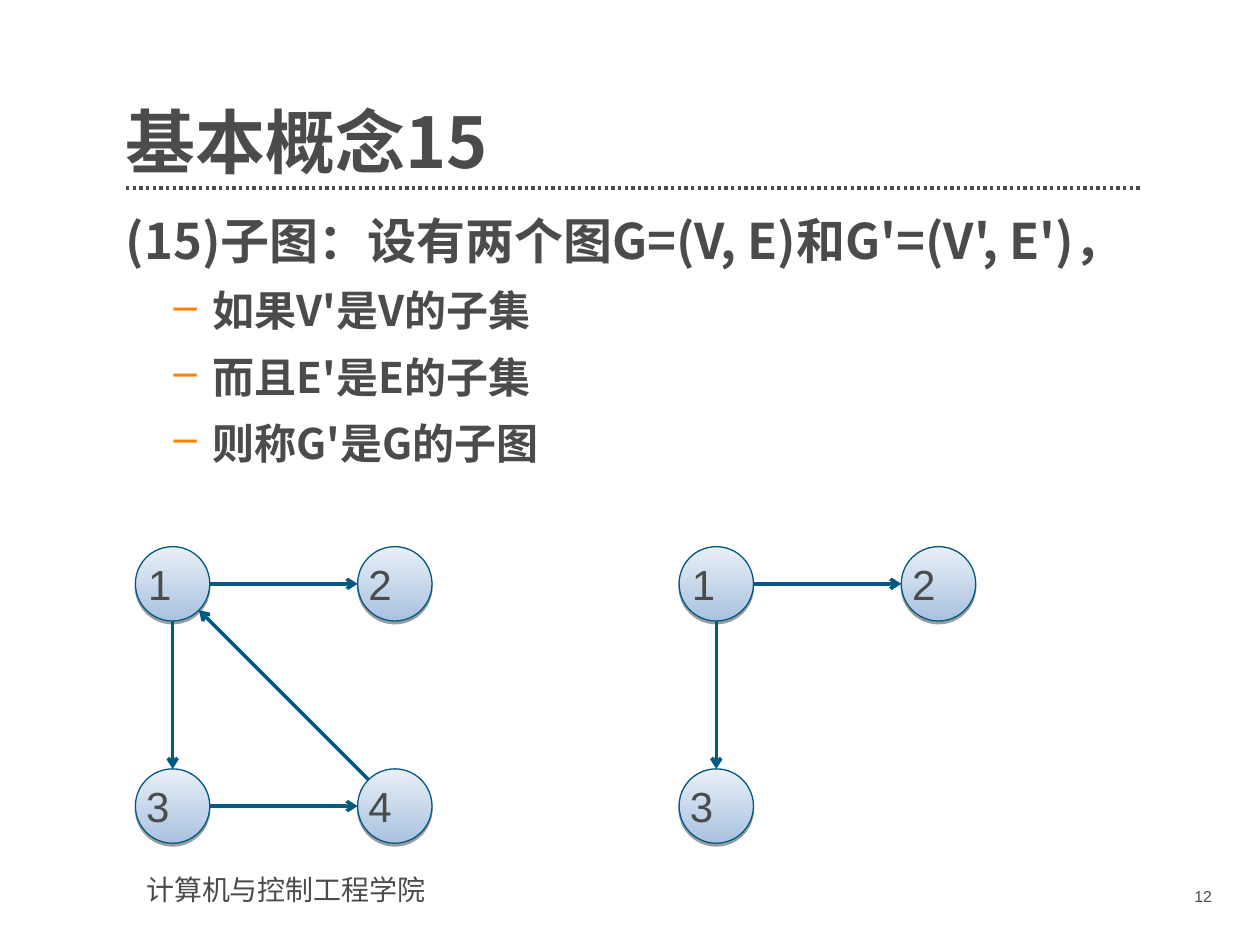
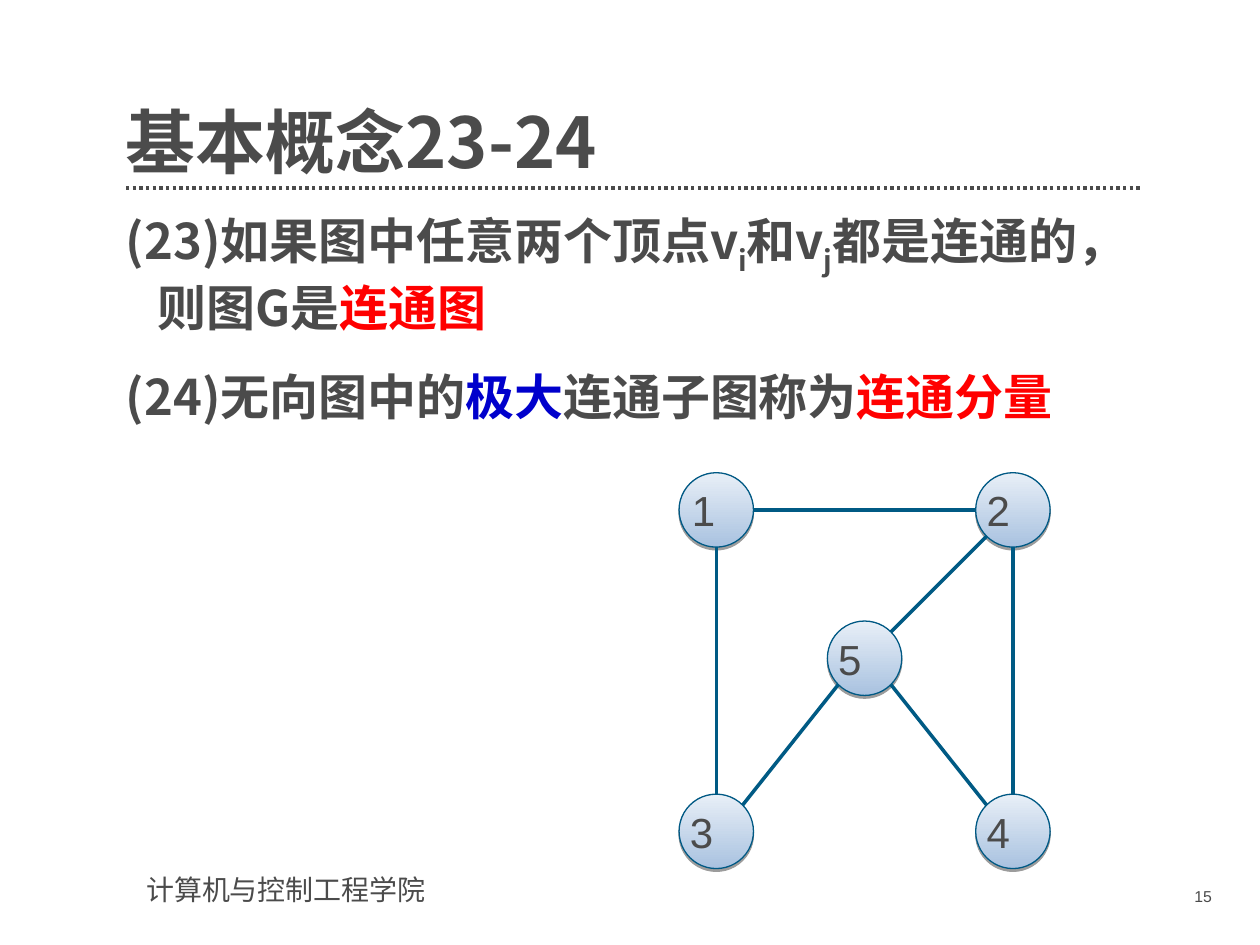
from math import atan2, cos, pi, sin

from lxml import etree
from pptx import Presentation
from pptx import util as u
from pptx.dml.color import RGBColor
from pptx.enum import dml, shapes, text
from pptx.oxml import ns

HEADING_FONT, PLAIN_FONT = "Noto Sans CJK SC", "Arial"
GREY, RED, BLUE, ORANGE = "4B4B4B", "FF0000", "0000CC", "FF8000"
EDGE, OUTLINE, NODE_DARK, NODE_LIGHT = "005A84", "005984", "A9C2E0", "E8EFF7"
FOOTER = "计算机与控制工程学院"
DIAMETER = 1.5

LEVELS = [
    {"size": 28, "before": 17.5, "margin": 0.64, "indent": -0.64, "bullet": None},
    {"size": 24, "before": 9, "margin": 1.75, "indent": -0.79, "bullet": "–"},
]

SLIDES = [
    {
        "title": "基本概念15",
        "number": "12",
        "body_width": 22.1,
        "body": [
            (0, ["(15)子图：设有两个图G=(V, E)和G'=(V', E')，"]),
            (1, ["如果V'是V的子集"]),
            (1, ["而且E'是E的子集"]),
            (1, ["则称G'是G的子图"]),
        ],
        "graphs": [
            {
                "origin": (2.73, 11.02),
                "nodes": {"1": (0, 0), "2": (4.48, 0), "3": (0, 4.48), "4": (4.48, 4.48)},
                "edges": ["12", "13", "34", "41"],
                "directed": True,
            },
            {
                "origin": (13.69, 11.02),
                "nodes": {"1": (0, 0), "2": (4.48, 0), "3": (0, 4.48)},
                "edges": ["12", "13"],
                "directed": True,
            },
        ],
    },
    {
        "title": "基本概念23-24",
        "number": "15",
        "body_width": 21.1,
        "body": [
            (0, ["(23)如果图中任意两个顶点v", ("i", "sub"), "和v", ("j", "sub"),
                 "都是连通的，则图G是", ("连通图", RED)]),
            (0, ["(24)无向图中的", ("极大", BLUE), "连通子图称为", ("连通分量", RED)]),
        ],
        "graphs": [
            {
                "origin": (13.69, 9.53),
                "nodes": {"1": (0, 0), "2": (5.98, 0), "3": (0, 6.48),
                          "4": (5.98, 6.48), "5": (2.99, 2.99)},
                "edges": ["12", "13", "42", "53", "52", "54"],
                "directed": False,
            },
        ],
    },
]


def color(value):
    return RGBColor.from_string(value)


def add_xml(parent, tag, **attributes):
    return etree.SubElement(parent, ns.qn(tag), attributes)


def set_font(font, name, size, bold=False):
    font.name, font.size, font.bold = name, u.Pt(size), bold
    font.color.rgb = color(GREY)
    add_xml(font._element, "a:ea", typeface=name)


def set_margins(frame, left, top, right, bottom):
    frame.margin_left, frame.margin_top = u.Cm(left), u.Cm(top)
    frame.margin_right, frame.margin_bottom = u.Cm(right), u.Cm(bottom)


def add_text_frame(slide, box, margins):
    frame = slide.shapes.add_textbox(*map(u.Cm, box)).text_frame
    frame.word_wrap = True
    set_margins(frame, *margins)
    return frame


def add_label(slide, box, margins, label, name, size, bold=False):
    frame = add_text_frame(slide, box, margins)
    paragraph = frame.paragraphs[0]
    paragraph.text = label
    set_font(paragraph.font, name, size, bold)
    return frame, paragraph


def add_line(slide, start, end, line_color, width):
    connector = slide.shapes.add_connector(
        shapes.MSO_CONNECTOR.STRAIGHT, *map(u.Cm, (*start, *end)))
    connector.line.color.rgb = color(line_color)
    connector.line.width = u.Pt(width)
    add_xml(connector._element.spPr, "a:effectLst")
    return connector


def add_frame(slide, title, number):
    rule = add_line(slide, (2.54, 3.79), (23.01, 3.79), GREY, 1.9)
    rule.line.dash_style = dml.MSO_LINE.ROUND_DOT
    small = (0.25, 0.13, 0.25, 0.13)
    add_label(slide, (2.7, 17.47, 7, 0.94), small, FOOTER, PLAIN_FONT, 16)
    frame, paragraph = add_label(
        slide, (2.54, 1.4, 20.47, 2.31), (0, 0, 0, 0), title, HEADING_FONT, 40, True)
    frame.vertical_anchor = text.MSO_ANCHOR.BOTTOM
    paragraph.line_spacing = 0.9
    _, paragraph = add_label(
        slide, (22.17, 17.75, 2.51, 0.74), small, number, PLAIN_FONT, 9)
    paragraph.alignment = text.PP_ALIGN.RIGHT


def add_body(slide, items, width):
    frame = add_text_frame(slide, (2.54, 4.24, width, 12.7), (0, 0, 0.51, 0))
    for index, (depth, parts) in enumerate(items):
        level = LEVELS[depth]
        paragraph = frame.add_paragraph() if index else frame.paragraphs[0]
        paragraph.level = depth
        properties = paragraph._p.get_or_add_pPr()
        properties.set("marL", str(u.Cm(level["margin"])))
        properties.set("indent", str(u.Cm(level["indent"])))
        if level["bullet"]:
            add_xml(add_xml(properties, "a:buClr"), "a:srgbClr", val=ORANGE)
            add_xml(properties, "a:buChar", char=level["bullet"])
        if index:
            paragraph.space_before = u.Pt(level["before"])
        set_font(paragraph.font, HEADING_FONT, level["size"], True)
        for part in parts:
            words, style = part if isinstance(part, tuple) else (part, None)
            run = paragraph.add_run()
            run.text = words
            if style == "sub":
                run.font._element.set("baseline", "-25000")
            elif style:
                run.font.color.rgb = color(style)


def add_node(slide, left, top, label):
    node = slide.shapes.add_shape(
        shapes.MSO_SHAPE.OVAL, *map(u.Cm, (left, top, DIAMETER, DIAMETER)))
    node.fill.gradient()
    node.fill.gradient_angle = 90
    for stop, shade in zip(node.fill.gradient_stops, (NODE_DARK, NODE_LIGHT)):
        stop.color.rgb = color(shade)
    node.line.color.rgb = color(OUTLINE)
    node.line.width = u.Pt(0.75)
    effects = add_xml(node._element.spPr, "a:effectLst")
    shadow = add_xml(effects, "a:outerShdw", blurRad="0", dist=str(u.Pt(1.6)),
                     dir="5400000", rotWithShape="0")
    add_xml(add_xml(shadow, "a:srgbClr", val="000000"), "a:alpha", val="38000")
    frame = node.text_frame
    set_margins(frame, 0, 0, 0.51, 0)
    frame.vertical_anchor = text.MSO_ANCHOR.MIDDLE
    paragraph = frame.paragraphs[0]
    paragraph.text = label
    paragraph.alignment = text.PP_ALIGN.CENTER if label == "1" else text.PP_ALIGN.LEFT
    set_font(paragraph.font, PLAIN_FONT, 24)


def rim_point(center, angle):
    return tuple(round(middle + DIAMETER / 2 * turn(angle), 2)
                 for middle, turn in zip(center, (cos, sin)))


def add_graph(slide, graph):
    left, top = graph["origin"]
    centers = {}
    for label, (across, down) in graph["nodes"].items():
        add_node(slide, left + across, top + down, label)
        centers[label] = (left + across + DIAMETER / 2, top + down + DIAMETER / 2)
    for source, target in graph["edges"]:
        start, end = centers[source], centers[target]
        angle = round(atan2(end[1] - start[1], end[0] - start[0]) / (pi / 4)) * pi / 4
        edge = add_line(slide, rim_point(start, angle), rim_point(end, angle + pi), EDGE, 2)
        if graph["directed"]:
            add_xml(edge.line._get_or_add_ln(), "a:tailEnd", type="arrow")


def main():
    presentation = Presentation()
    presentation.slide_width, presentation.slide_height = u.Cm(25.4), u.Cm(19.05)
    for content in SLIDES:
        slide = presentation.slides.add_slide(presentation.slide_layouts[6])
        add_frame(slide, content["title"], content["number"])
        add_body(slide, content["body"], content["body_width"])
        for graph in content["graphs"]:
            add_graph(slide, graph)
    presentation.save("out.pptx")


if __name__ == "__main__":
    main()
